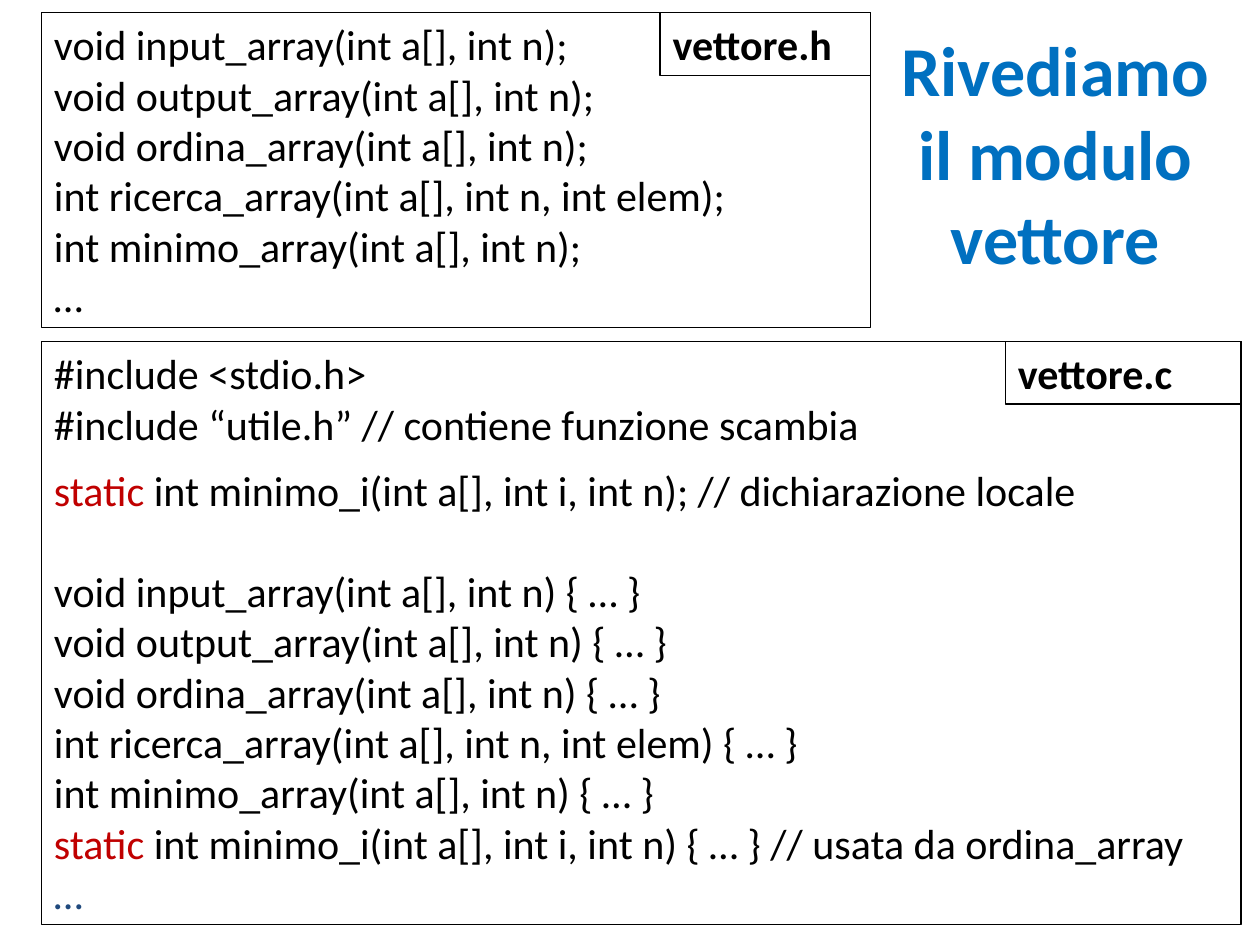
import pptx
import pptx.dml.color
import pptx.enum.shapes
import pptx.enum.text
import pptx.util

Inches = pptx.util.Inches
Pt = pptx.util.Pt
PP_ALIGN = pptx.enum.text.PP_ALIGN
MSO_ANCHOR = pptx.enum.text.MSO_ANCHOR

FONT = "Calibri"
BLACK, RED, NAVY, BLUE = "000000", "C00000", "1F497D", "0070C0"
KEYWORD = "static"
LEFT, RIGHT = 0.33, 9.85
LABEL_HEIGHT = 0.5

PROTOTYPES = [
    "void input_array(int a[], int n)",
    "void output_array(int a[], int n)",
    "void ordina_array(int a[], int n)",
    "int ricerca_array(int a[], int n, int elem)",
    "int minimo_array(int a[], int n)",
]
LOCAL_PROTOTYPE = "static int minimo_i(int a[], int i, int n)"

# Each line is its text, space before in points and colour.
HEADER_LINES = [(f"{prototype};", 0, BLACK) for prototype in PROTOTYPES]
HEADER_LINES.append(("…", 0, BLACK))

SOURCE_LINES = [
    ("#include <stdio.h>", 0, BLACK),
    ("#include “utile.h” // contiene funzione scambia", 0, BLACK),
    (f"{LOCAL_PROTOTYPE}; // dichiarazione locale", 9, BLACK),
]
SOURCE_LINES += [
    (prototype + " { … }", 29 if index == 0 else 0, BLACK)
    for index, prototype in enumerate(PROTOTYPES)
]
SOURCE_LINES += [
    (LOCAL_PROTOTYPE + " { … } // usata da ordina_array", 0, BLACK),
    ("…", 0, NAVY),
]


def color(value):
    return pptx.dml.color.RGBColor.from_string(value)


def add_run(paragraph, text, text_color, size=24, bold=False):
    run = paragraph.add_run()
    run.text = text
    formats = {"name": FONT, "size": Pt(size), "bold": bold}
    for name, value in formats.items():
        setattr(run.font, name, value)
    run.font.color.rgb = color(text_color)


def add_box(slide, left, top, width, height, line_width):
    """Add an outlined, unfilled rectangle and return its text frame."""
    shape = slide.shapes.add_shape(
        pptx.enum.shapes.MSO_SHAPE.RECTANGLE,
        Inches(left), Inches(top), Inches(width), Inches(height))
    shape.shadow.inherit = False
    shape.fill.background()
    shape.line.color.rgb = color(BLACK)
    shape.line.width = Pt(line_width)
    shape.text_frame.word_wrap = True
    shape.text_frame.vertical_anchor = MSO_ANCHOR.TOP
    return shape.text_frame


def add_code_line(paragraph, text, space_before, text_color):
    paragraph.alignment = PP_ALIGN.LEFT
    if space_before:
        paragraph.space_before = Pt(space_before)
    if text.startswith(KEYWORD):
        add_run(paragraph, KEYWORD, RED)
        text = text[len(KEYWORD):]
    add_run(paragraph, text, text_color)


def add_listing(slide, left, top, width, height, lines, file_name, label_width):
    """Add a code box with its file name in the top right corner."""
    frame = add_box(slide, left, top, width, height, 0.75)
    for index, line in enumerate(lines):
        paragraph = frame.add_paragraph() if index else frame.paragraphs[0]
        add_code_line(paragraph, *line)

    label = add_box(slide, left + width - label_width, top,
                    label_width, LABEL_HEIGHT, 1)
    label.paragraphs[0].alignment = PP_ALIGN.LEFT
    add_run(label.paragraphs[0], file_name, BLACK, bold=True)


def place_title(slide, left, top, width, height, text):
    title = slide.shapes.title
    box = {"left": left, "top": top, "width": width, "height": height}
    for name, value in box.items():
        setattr(title, name, Inches(value))
    frame = title.text_frame
    formats = {"word_wrap": True, "vertical_anchor": MSO_ANCHOR.MIDDLE,
               "auto_size": pptx.enum.text.MSO_AUTO_SIZE.NONE}
    for name, value in formats.items():
        setattr(frame, name, value)
    frame.paragraphs[0].alignment = PP_ALIGN.CENTER
    add_run(frame.paragraphs[0], text, BLUE, size=40, bold=True)


def main():
    presentation = pptx.Presentation()
    presentation.slide_width = Inches(10)
    presentation.slide_height = Inches(7.5)
    title_only = presentation.slide_layouts[5]
    slide = presentation.slides.add_slide(title_only)

    place_title(slide, 6.9, 0.25, RIGHT - 6.9, 1.92,
                "Rivediamo il modulo vettore")
    add_listing(slide, LEFT, 0.1, 6.58, 2.5, HEADER_LINES, "vettore.h", 1.67)
    add_listing(slide, LEFT, 2.71, RIGHT - LEFT, 4.63, SOURCE_LINES,
                "vettore.c", 1.87)
    presentation.save("out.pptx")


if __name__ == "__main__":
    main()
